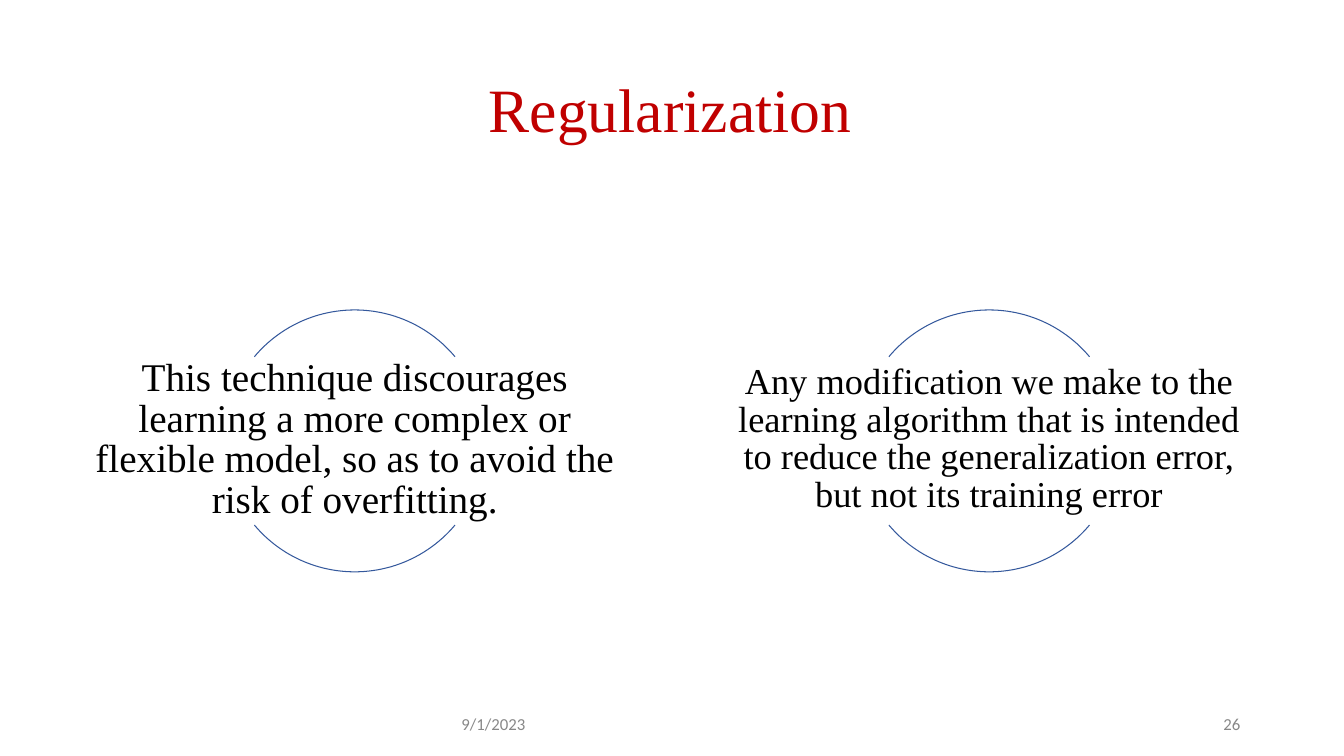
from dataclasses import dataclass
from math import cos, radians, sin

from pptx import Presentation
from pptx.dml.color import RGBColor
from pptx.enum.text import MSO_ANCHOR, MSO_AUTO_SIZE, PP_ALIGN
from pptx.util import Cm, Pt


@dataclass(frozen=True)
class Theme:
    serif: str = "Times New Roman"
    sans: str = "Calibri"
    red: RGBColor = RGBColor(0xC0, 0x00, 0x00)
    black: RGBColor = RGBColor(0x00, 0x00, 0x00)
    grey: RGBColor = RGBColor(0x88, 0x88, 0x88)
    blue: RGBColor = RGBColor(0x34, 0x58, 0x9C)
    title_size: Pt = Pt(44)
    definition_size: Pt = Pt(28)
    modification_size: Pt = Pt(26)
    footer_size: Pt = Pt(12)
    arc_width: Pt = Pt(0.75)


THEME = Theme()

# Circle geometry in cm; each arc spans 50 degrees either side of the vertical
RADIUS = 3.3
CIRCLE_Y = 11.11
HALF_ANGLE = 50
STATEMENT_Y = 11.02


def write_text(frame, text, font_name, size, color, align=PP_ALIGN.LEFT,
               spacing=1.0, top_inset=0):
    frame.word_wrap = True
    frame.auto_size = MSO_AUTO_SIZE.NONE
    frame.vertical_anchor = MSO_ANCHOR.TOP
    frame.margin_left = frame.margin_right = frame.margin_bottom = 0
    frame.margin_top = Cm(top_inset)
    paragraph = frame.paragraphs[0]
    paragraph.alignment = align
    paragraph.line_spacing = spacing
    run = paragraph.add_run()
    run.text = text
    run.font.name = font_name
    run.font.size = size
    run.font.color.rgb = color


def add_title(slide, text):
    title = slide.shapes.title
    title.left, title.top = Cm(12.32), Cm(1.75)
    title.width, title.height = Cm(9.22), Cm(1.93)
    write_text(title.text_frame, text, THEME.serif, THEME.title_size,
               THEME.red, top_inset=0.03)


def add_arc(slide, center_x, direction):
    """Draw the top (direction -1) or bottom (direction 1) of a circle."""
    points = [
        (Cm(center_x + RADIUS * sin(radians(angle))),
         Cm(CIRCLE_Y + direction * RADIUS * cos(radians(angle))))
        for angle in range(-HALF_ANGLE, HALF_ANGLE + 1, 2)
    ]
    builder = slide.shapes.build_freeform(*points[0])
    builder.add_line_segments(points[1:], close=False)
    arc = builder.convert_to_shape()
    arc.shadow.inherit = False
    arc.fill.background()
    arc.line.color.rgb = THEME.blue
    arc.line.width = THEME.arc_width


def add_statement(slide, center_x, width, height, text, size, top_inset):
    for direction in (-1, 1):
        add_arc(slide, center_x, direction)
    statement = slide.shapes.add_textbox(
        Cm(center_x - width / 2), Cm(STATEMENT_Y - height / 2),
        Cm(width), Cm(height))
    write_text(statement.text_frame, text, THEME.serif, size, THEME.black,
               PP_ALIGN.CENTER, 0.86, top_inset)


def add_footer(slide, left, width, text):
    footer = slide.shapes.add_textbox(Cm(left), Cm(17.96), Cm(width), Cm(0.48))
    write_text(footer.text_frame, text, THEME.sans, THEME.footer_size,
               THEME.grey, spacing=1.03)


def main():
    presentation = Presentation()
    presentation.slide_width = Cm(33.87)
    presentation.slide_height = Cm(19.05)
    slide = presentation.slides.add_slide(presentation.slide_layouts[5])

    add_title(slide, "Regularization")

    # Two statements, each framed by a pair of arcs
    add_statement(
        slide, 8.94, 13.16, 4.32,
        "This technique discourages learning a more complex or flexible "
        "model, so as to avoid the risk of overfitting.",
        THEME.definition_size, 0.2)
    add_statement(
        slide, 24.93, 12.74, 4.01,
        "Any modification we make to the learning algorithm that is intended "
        "to reduce the generalization error, but not its training error",
        THEME.modification_size, 0.18)

    # Date and slide number; the number is indented within its box
    add_footer(slide, 11.63, 10.67, "9/1/2023")
    add_footer(slide, 30.83, 0.54, "26")

    presentation.save("out.pptx")


if __name__ == "__main__":
    main()
